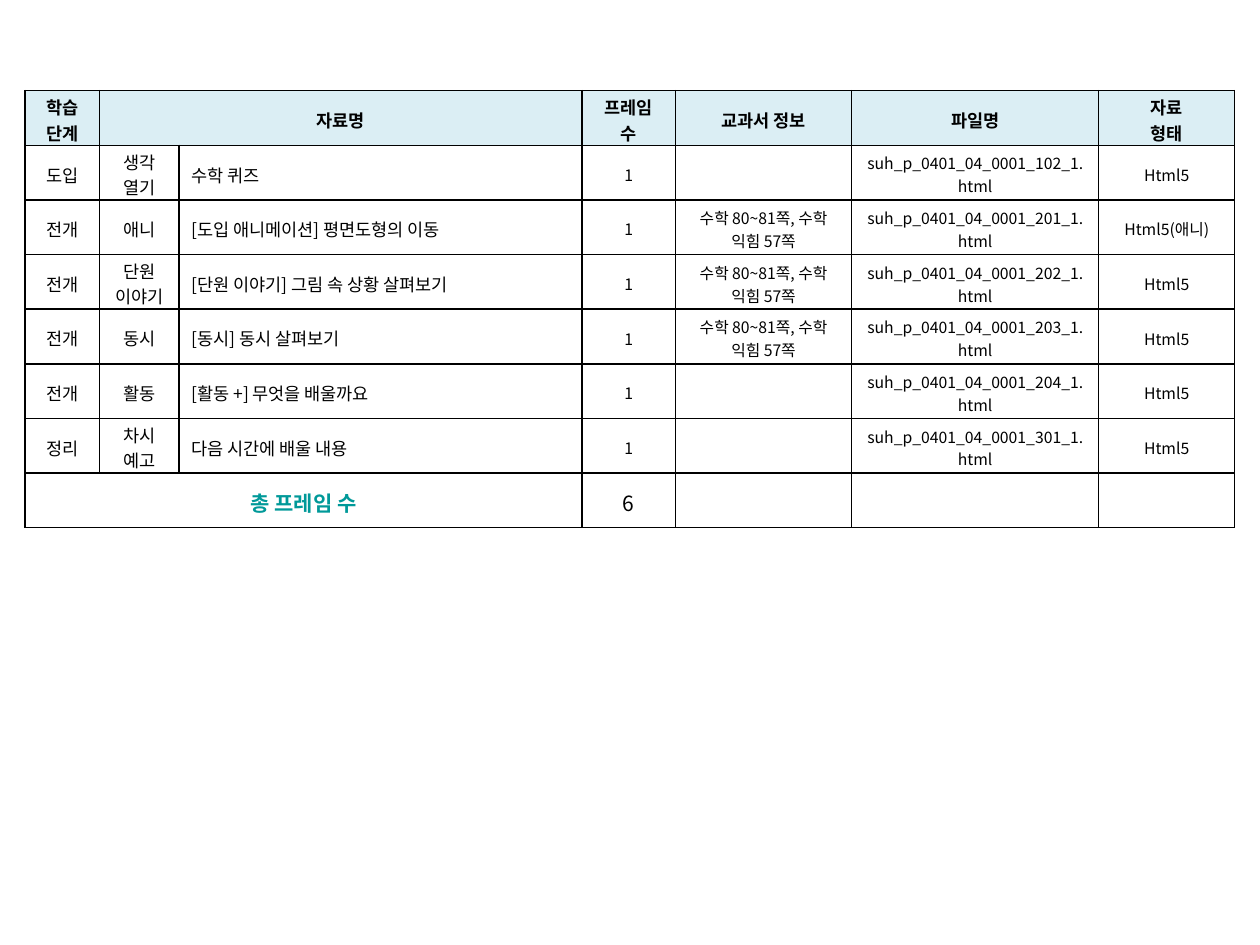
import pptx
import pptx.util
import pptx.dml.color
import pptx.enum.text
import pptx.oxml.ns
from lxml import etree
from pptx.util import Inches

FONT = "Noto Sans CJK KR"
COLORS = {"text": "000000", "line": "000000", "header": "DBEEF4", "body": "FFFFFF", "total": "009999"}
COLUMN_WIDTHS = [0.59, 0.63, 3.2, 0.74, 1.4, 1.96, 1.08]
BODY_SIZES = [10, 10, 10, 9, 9, 9, 9]
NAME_COLUMN = 2
HEADER = ["학습 단계", "자료명", "", "프레임 수", "교과서 정보", "파일명", "자료\n형태"]
TEXTBOOK = "수학 80~81쪽, 수학 익힘 57쪽"
LESSONS = [
    ("도입", "생각\n열기", "수학 퀴즈", "", "102", "Html5"),
    ("전개", "애니", "[도입 애니메이션] 평면도형의 이동", TEXTBOOK, "201", "Html5(애니)"),
    ("전개", "단원\n이야기", "[단원 이야기] 그림 속 상황 살펴보기", TEXTBOOK, "202", "Html5"),
    ("전개", "동시", "[동시] 동시 살펴보기", TEXTBOOK, "203", "Html5"),
    ("전개", "활동", "[활동 +] 무엇을 배울까요", "", "204", "Html5"),
    ("정리", "차시 예고", "다음 시간에 배울 내용", "", "301", "Html5"),
]
TOTAL = ["총 프레임 수", "", "", str(len(LESSONS)), "", "", ""]


def rgb(name):
    """Return the palette colour of the given name."""
    return pptx.dml.color.RGBColor.from_string(COLORS[name])


def add_borders(cell):
    """Draw a one-point line on each side of a cell."""
    properties = cell._tc.get_or_add_tcPr()
    for index, side in enumerate(("lnL", "lnR", "lnT", "lnB")):
        line = etree.Element(pptx.oxml.ns.qn(f"a:{side}"), w=str(pptx.util.Pt(1)))
        fill = etree.SubElement(line, pptx.oxml.ns.qn("a:solidFill"))
        etree.SubElement(fill, pptx.oxml.ns.qn("a:srgbClr"), val=COLORS["line"])
        properties.insert(index, line)


def write_cell(cell, text, size, color="text", bold=False, centered=True):
    """Write one run per line of text into a cell."""
    alignment = pptx.enum.text.PP_ALIGN
    for index, line in enumerate(text.split("\n")):
        frame = cell.text_frame
        paragraph = frame.add_paragraph() if index else frame.paragraphs[0]
        paragraph.alignment = alignment.CENTER if centered else alignment.LEFT
        if not line:
            continue
        run = paragraph.add_run()
        run.text = line
        run.font.size = pptx.util.Pt(size)
        run.font.name = FONT
        run.font.bold = bold
        run.font.color.rgb = rgb(color)
        etree.SubElement(run.font._element, pptx.oxml.ns.qn("a:ea"), typeface=FONT)


def style_cell(cell, fill):
    """Set the fill, margins, anchor and borders of a cell."""
    cell.fill.solid()
    cell.fill.fore_color.rgb = rgb(fill)
    cell.vertical_anchor = pptx.enum.text.MSO_ANCHOR.MIDDLE
    cell.margin_left = cell.margin_right = Inches(0.1)
    cell.margin_top, cell.margin_bottom = Inches(0.03), Inches(0)
    add_borders(cell)


def add_lesson_table(slide, left, top, width, height):
    """Add the lesson material table inside the given box."""
    rows = [HEADER]
    for stage, activity, title, textbook, number, kind in LESSONS:
        file_name = f"suh_p_0401_04_0001_{number}_1.html"
        rows.append([stage, activity, title, "1", textbook, file_name, kind])
    rows.append(TOTAL)
    last = len(rows) - 1
    table = slide.shapes.add_table(len(rows), len(HEADER), left, top, width, height).table
    table.first_row = table.horz_banding = False
    for column, share in zip(table.columns, COLUMN_WIDTHS):
        column.width = int(width * share / sum(COLUMN_WIDTHS))
    for row in table.rows:
        row.height = int(height / len(rows))
    table.cell(0, 1).merge(table.cell(0, 2))
    table.cell(last, 0).merge(table.cell(last, 2))
    for row_index, texts in enumerate(rows):
        for column_index, text in enumerate(texts):
            cell = table.cell(row_index, column_index)
            style_cell(cell, "header" if row_index == 0 else "body")
            if row_index == 0:
                write_cell(cell, text, 10, bold=True)
            elif row_index == last:
                label = column_index == 0
                write_cell(cell, text, 12, "total" if label else "text", label)
            else:
                write_cell(cell, text, BODY_SIZES[column_index], centered=column_index != NAME_COLUMN)


def main():
    """Build and save the presentation."""
    presentation = pptx.Presentation()
    presentation.slide_width, presentation.slide_height = Inches(10), Inches(7.5)
    slide = presentation.slides.add_slide(presentation.slide_layouts[6])
    add_lesson_table(slide, Inches(0.2), Inches(0.72), Inches(9.6), Inches(3.47))
    presentation.save("out.pptx")


if __name__ == "__main__":
    main()
